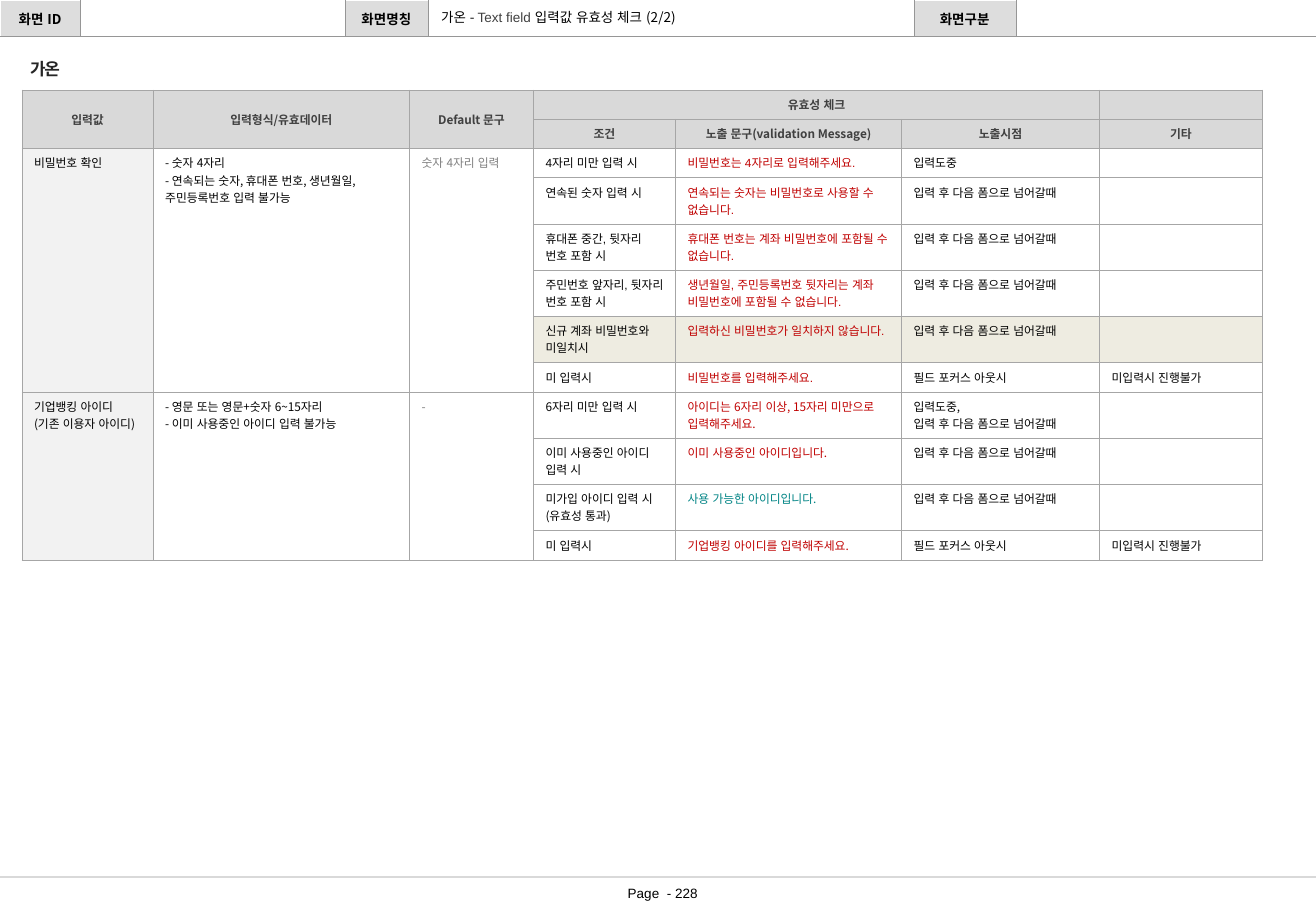
from dataclasses import dataclass

from lxml.etree import SubElement
from pptx import Presentation
from pptx.dml.color import RGBColor
from pptx.enum.lang import MSO_LANGUAGE_ID
from pptx.enum.shapes import MSO_CONNECTOR
from pptx.enum.text import MSO_ANCHOR, MSO_AUTO_SIZE, PP_ALIGN
from pptx.oxml import parse_xml
from pptx.oxml.ns import nsdecls, qn
from pptx.util import Inches, Pt


@dataclass(frozen=True)
class Theme:
    korean: str = "Noto Sans CJK KR"
    latin: str = "Arial"
    cell_size: float = 7
    bar_size: float = 8
    heading_size: float = 10
    black: str = "000000"
    white: str = "FFFFFF"
    heading: str = "262626"
    header_text: str = "404040"
    hint: str = "808080"
    error: str = "C00000"
    success: str = "008485"
    label_fill: str = "DDDDDD"
    header_fill: str = "D9D9D9"
    field_fill: str = "F2F2F2"
    marked_fill: str = "EEECE1"
    grid: str = "A6A6A6"
    frame: str = "969696"
    footer_line: str = "D9D9D9"


THEME = Theme()
SINGLE, DOUBLE = 0.24, 0.38
SIDES = ("L", "R", "T", "B")
BANK = "가온"
NEXT_FORM = "입력 후 다음 폼으로 넘어갈때"
FOCUS_OUT = "필드 포커스 아웃시"
BLOCKED = "미입력시 진행불가"

FRAME_COLUMNS = (0.66, 2.18, 0.68, 4, 0.84, 2.47)
FRAME_LABELS = {0: "화면 ID", 2: "화면명칭", 4: "화면구분"}
COLUMNS = (1.08, 2.11, 1.02, 1.17, 1.86, 1.63, 1.34)
HEADERS = (
    ("입력값", "입력형식/유효데이터", "Default 문구", "유효성 체크", "", "", ""),
    ("", "", "", "조건", "노출 문구(validation Message)", "노출시점", "기타"),
)
# Each field: name, format, default text, font of its Latin characters, checks
FIELDS = (
    ("비밀번호 확인",
     "- 숫자 4자리\n- 연속되는 숫자, 휴대폰 번호, 생년월일, 주민등록번호 입력 불가능",
     "숫자 4자리 입력", THEME.latin, (
         ("4자리 미만 입력 시", "비밀번호는 4자리로 입력해주세요.", "입력도중", "", SINGLE),
         ("연속된 숫자 입력 시", "연속되는 숫자는 비밀번호로 사용할 수 없습니다.", NEXT_FORM, "", DOUBLE),
         ("휴대폰 중간, 뒷자리 번호 포함 시", "휴대폰 번호는 계좌 비밀번호에 포함될 수 없습니다.",
          NEXT_FORM, "", DOUBLE),
         ("주민번호 앞자리, 뒷자리 번호 포함 시",
          "생년월일, 주민등록번호 뒷자리는 계좌 비밀번호에 포함될 수 없습니다.", NEXT_FORM, "", DOUBLE),
         ("신규 계좌 비밀번호와 미일치시", "입력하신 비밀번호가 일치하지 않습니다.", NEXT_FORM, "", DOUBLE),
         ("미 입력시", "비밀번호를 입력해주세요.", FOCUS_OUT, BLOCKED, SINGLE),
     )),
    ("기업뱅킹 아이디\n(기존 이용자 아이디)",
     "- 영문 또는 영문+숫자 6~15자리\n- 이미 사용중인 아이디 입력 불가능",
     "-", THEME.korean, (
         ("6자리 미만 입력 시", "아이디는 6자리 이상, 15자리 미만으로 입력해주세요.",
          f"입력도중,\n{NEXT_FORM}", "", DOUBLE),
         ("이미 사용중인 아이디 입력 시", "이미 사용중인 아이디입니다.", NEXT_FORM, "", DOUBLE),
         ("미가입 아이디 입력 시 (유효성 통과)", "사용 가능한 아이디입니다.", NEXT_FORM, "", DOUBLE),
         ("미 입력시", "기업뱅킹 아이디를 입력해주세요.", FOCUS_OUT, BLOCKED, SINGLE),
     )),
)
MARKED = "신규 계좌 비밀번호와 미일치시"
PASSED = "사용 가능한 아이디입니다."


def apply(target, **values):
    for name, value in values.items():
        setattr(target, name, value)


class SlideBuilder:
    def __init__(self, page, theme):
        self.page, self.theme = page, theme

    def span(self, para, text, size, color, font=None, bold=False, spacing=0):
        span = para.add_run()
        span.text = text
        apply(span.font, size=Pt(size), bold=bold, name=font or self.theme.korean,
              language_id=MSO_LANGUAGE_ID.KOREAN)
        span.font.color.rgb = RGBColor.from_string(color)
        properties = span.font._element
        SubElement(properties, qn("a:ea"), typeface=self.theme.korean)
        if spacing:
            properties.set("spc", str(round(spacing * 100)))

    def fill_text(self, frame, text, align=PP_ALIGN.LEFT, **style):
        for index, line in enumerate(text.split("\n")):
            para = frame.add_paragraph() if index else frame.paragraphs[0]
            para.alignment = align
            if line:
                self.span(para, line, **style)
            else:  # keeps an empty cell from growing its row
                SubElement(para._p, qn("a:endParaRPr"), sz=str(style["size"] * 100))

    def box(self, place, text, insets=(0.1, 0.05), anchor=MSO_ANCHOR.TOP, **style):
        box = self.page.shapes.add_textbox(*map(Inches, place))
        self.frame(box.text_frame, insets, anchor, wrap=False)
        self.fill_text(box.text_frame, text, PP_ALIGN.CENTER, **style)

    def frame(self, frame, insets, anchor, wrap):
        side, top = map(Inches, insets)
        apply(frame, margin_left=side, margin_right=side, margin_top=top, margin_bottom=top,
              vertical_anchor=anchor, word_wrap=wrap, auto_size=MSO_AUTO_SIZE.NONE)

    def title(self, place, spans):
        title = self.page.shapes.title
        apply(title, **dict(zip(("left", "top", "width", "height"), map(Inches, place))))
        self.frame(title.text_frame, (0.11, 0.05), MSO_ANCHOR.MIDDLE, wrap=True)
        para = title.text_frame.paragraphs[0]
        para.alignment = PP_ALIGN.LEFT
        for text, color, font in spans:
            self.span(para, text, self.theme.bar_size, color, font)
        self.page.shapes._spTree.append(title._element)

    def table(self, left, top, columns, rows):
        place = map(Inches, (left, top, sum(columns), sum(rows)))
        table = self.page.shapes.add_table(len(rows), len(columns), *place).table
        apply(table, first_row=False, horz_banding=False)
        for column, width in zip(table.columns, columns):
            column.width = Inches(width)
        for row, height in zip(table.rows, rows):
            row.height = Inches(height)
        return table

    def cell(self, cell, text, fill, borders, anchor=MSO_ANCHOR.TOP, side=0.1, **style):
        apply(cell, vertical_anchor=anchor, margin_left=Inches(side), margin_right=Inches(side))
        cell.fill.solid()
        cell.fill.fore_color.rgb = RGBColor.from_string(fill)
        self.fill_text(cell.text_frame, text, **style)
        properties = cell._tc.get_or_add_tcPr()
        for index, (name, color) in enumerate(zip(SIDES, borders)):
            properties.insert(index, parse_xml(
                f'<a:ln{name} {nsdecls("a")} w="{int(Pt(0.25))}"><a:solidFill>'
                f'<a:srgbClr val="{color}"/></a:solidFill></a:ln{name}>'))

    def line(self, start, end, color, width):
        line = self.page.shapes.add_connector(MSO_CONNECTOR.STRAIGHT, *map(Inches, start + end))
        line.line.color.rgb = RGBColor.from_string(color)
        line.line.width = Pt(width)
        SubElement(line._element.spPr, qn("a:effectLst"))


def draw_page_frame(builder):
    theme = builder.theme
    table = builder.table(0, 0, FRAME_COLUMNS, (0.3, 6.92))
    last = len(FRAME_COLUMNS) - 1
    for row in range(2):
        for column in range(last + 1):
            label = FRAME_LABELS.get(column, "") if row == 0 else ""
            inner = (row == 0 and column > 0, row == 0 and column < last, row == 1, row == 0)
            borders = [theme.frame if shown else theme.white for shown in inner]
            builder.cell(table.cell(row, column), label,
                         theme.label_fill if label else theme.white, borders,
                         MSO_ANCHOR.MIDDLE, 0.08, align=PP_ALIGN.CENTER,
                         size=theme.bar_size, color=theme.black, bold=True)
    table.cell(1, 0).merge(table.cell(1, last))
    builder.box((5.22, 7.21, 0.47, 0.29), "Page  - 228", anchor=MSO_ANCHOR.MIDDLE,
                size=theme.bar_size, color=theme.black, font=theme.latin)
    builder.line((0, 7.22), (10.83, 7.22), theme.footer_line, 0.75)


def draw_validation_table(builder):
    theme = builder.theme
    heights = [SINGLE] * len(HEADERS) + [check[-1] for field in FIELDS for check in field[-1]]
    table = builder.table(0.18, 0.74, COLUMNS, heights)
    borders = (theme.grid,) * len(SIDES)
    for row, labels in enumerate(HEADERS):
        for column, label in enumerate(labels):
            builder.cell(table.cell(row, column), label, theme.header_fill, borders,
                         MSO_ANCHOR.MIDDLE, align=PP_ALIGN.CENTER,
                         size=theme.cell_size, color=theme.header_text, bold=True)
    first = len(HEADERS)
    merges = [(0, column, 1, column) for column in range(3)] + [(0, 3, 0, 5)]
    for name, form, default, font, checks in FIELDS:
        for row, (condition, message, moment, note, _) in enumerate(checks, first):
            lead = (name, form, default) if row == first else ("", "", "")
            fill = theme.marked_fill if condition == MARKED else theme.white
            fills = (theme.field_fill, theme.white, theme.white) + (fill,) * 4
            reply = theme.success if message == PASSED else theme.error
            colors = (theme.black, theme.black, theme.hint, theme.black, reply,
                      theme.black, theme.black)
            fonts = (theme.korean,) * 3 + (font, font) + (theme.korean,) * 2
            texts = lead + (condition, message, moment, note)
            for column, text in enumerate(texts):
                builder.cell(table.cell(row, column), text, fills[column], borders,
                             size=theme.cell_size, color=colors[column], font=fonts[column])
        last = first + len(checks) - 1
        merges += [(first, column, last, column) for column in range(3)]
        first = last + 1
    for top, left, bottom, right in merges:
        table.cell(top, left).merge(table.cell(bottom, right))


def main():
    deck = Presentation()
    apply(deck, slide_width=Inches(10.83), slide_height=Inches(7.5))
    page = deck.slides.add_slide(deck.slide_layouts.get_by_name("Title Only"))
    builder = SlideBuilder(page, THEME)
    draw_page_frame(builder)
    draw_validation_table(builder)
    builder.box((0.24, 0.48, 0.26, 0.17), BANK, insets=(0, 0), size=THEME.heading_size,
                color=THEME.heading, bold=True, spacing=-0.7)
    builder.title((3.52, 0.02, 3.91, 0.24), (
        (f"{BANK} - ", THEME.black, THEME.korean),
        ("Text field ", THEME.header_text, THEME.latin),
        ("입력값 유효성 체크 (2/2)", THEME.black, THEME.korean)))
    deck.save("out.pptx")


if __name__ == "__main__":
    main()
